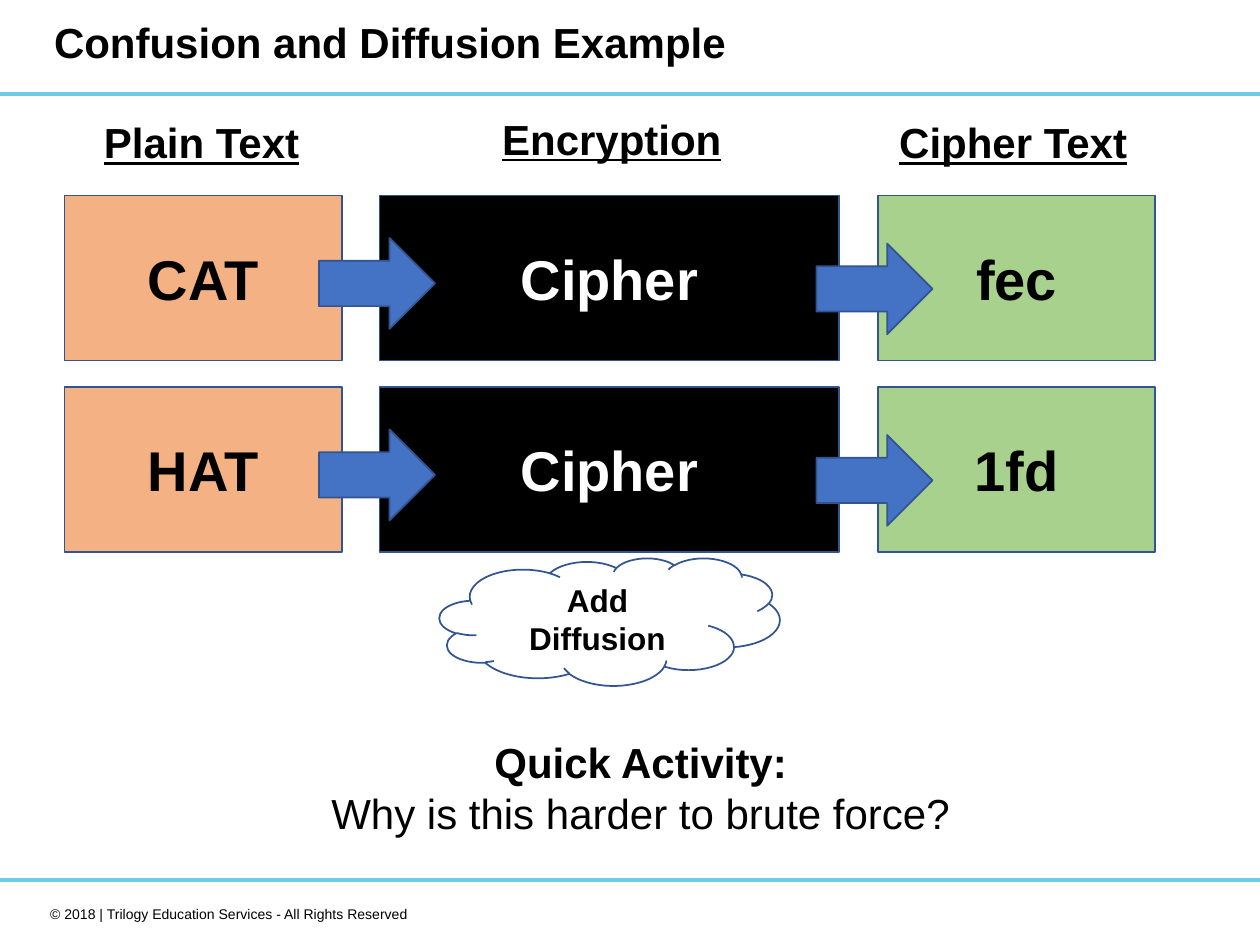
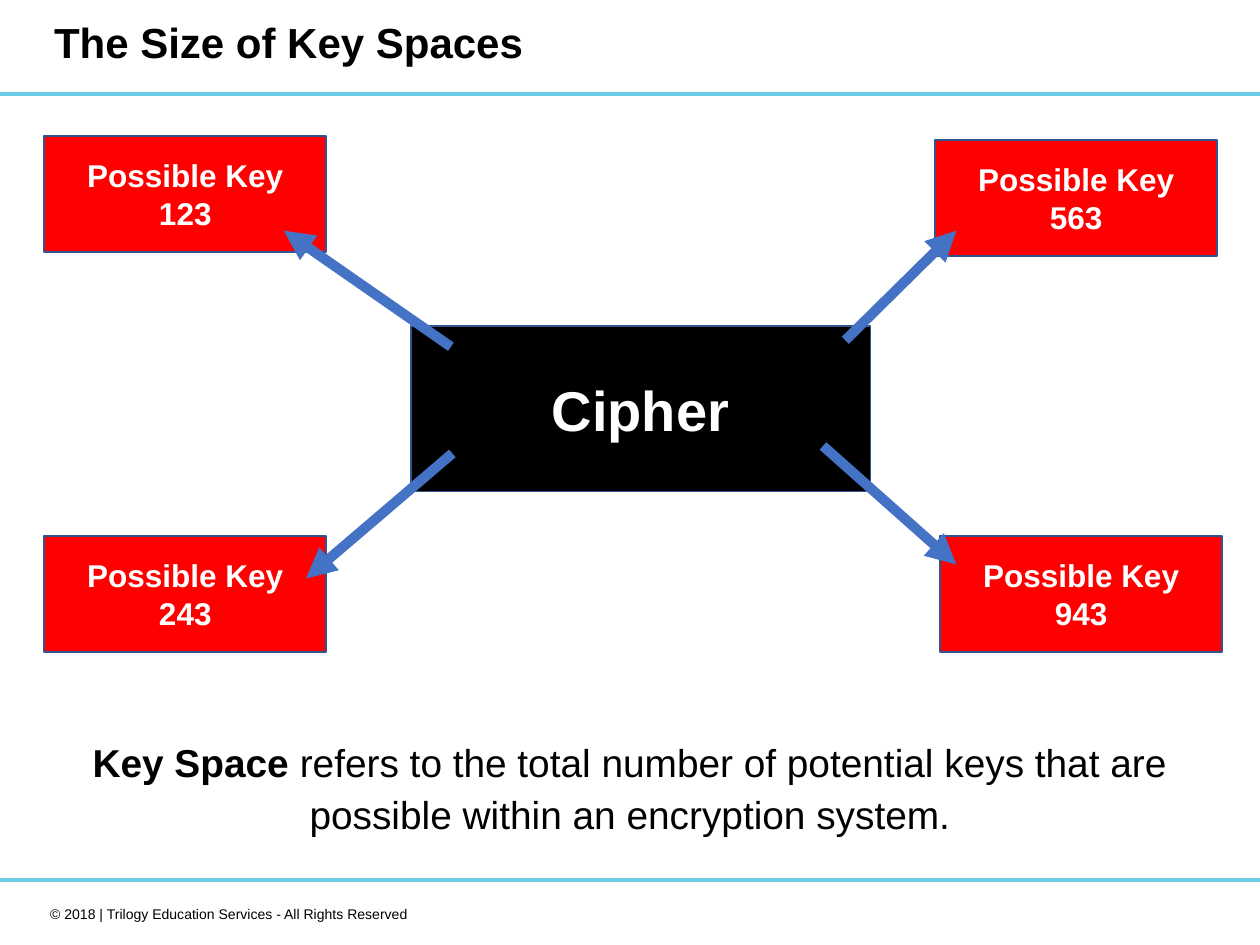
from dataclasses import dataclass, replace

from lxml.etree import SubElement
from pptx import Presentation
from pptx.dml.color import RGBColor
from pptx.enum.shapes import MSO_CONNECTOR as Connector, MSO_SHAPE as Preset
from pptx.enum.text import MSO_ANCHOR as Anchor, PP_ALIGN as Align
from pptx.oxml.ns import qn
from pptx.util import Cm, Pt

BLACK = RGBColor(0x00, 0x00, 0x00)
WHITE = RGBColor(0xFF, 0xFF, 0xFF)
BAND_CYAN = RGBColor(0x6C, 0xCC, 0xE6)
OUTLINE_BLUE = RGBColor(0x32, 0x54, 0x91)
ARROW_BLUE = RGBColor(0x44, 0x72, 0xC4)
PLAIN_ORANGE = RGBColor(0xF4, 0xB1, 0x83)
CIPHER_GREEN = RGBColor(0xA9, 0xD1, 0x8E)
KEY_RED = RGBColor(0xFF, 0x00, 0x00)

FONT = "Arial"
PAGE_WIDTH, PAGE_HEIGHT = 25.4, 19.05
FOOTER = "© 2018 | Trilogy Education Services - All Rights Reserved"


@dataclass(frozen=True)
class Area:
    """A rectangle on the slide, in centimetres."""
    left: float
    top: float
    width: float
    height: float

    def lengths(self) -> tuple:
        return Cm(self.left), Cm(self.top), Cm(self.width), Cm(self.height)


@dataclass(frozen=True)
class TextStyle:
    size: float
    color: RGBColor = BLACK
    bold: bool = True
    underline: bool = False
    align: Align = Align.CENTER
    anchor: Anchor = Anchor.MIDDLE
    spacing: float = 1.0


@dataclass(frozen=True)
class Column:
    left: float
    width: float
    fill: RGBColor
    style: TextStyle
    texts: tuple


@dataclass(frozen=True)
class Arrow:
    start: tuple
    end: tuple


TITLE = TextStyle(24, align=Align.LEFT, spacing=0.9)
FOOTNOTE = TextStyle(8, bold=False, align=Align.RIGHT, anchor=Anchor.TOP)
HEADING = TextStyle(24, underline=True)
BOX_DARK = TextStyle(32)
BOX_LIGHT = replace(BOX_DARK, color=WHITE)
KEY = TextStyle(18, WHITE)
CLOUD = TextStyle(18)
ACTIVITY = TextStyle(24, anchor=Anchor.TOP)
DEFINITION = TextStyle(22.2, bold=False, anchor=Anchor.TOP, spacing=1.1)

CIPHER_WIDTH, BOX_HEIGHT = 9.27, 3.33


def write(shape, lines: tuple, style: TextStyle) -> None:
    """Fill a shape with one paragraph per line."""
    frame = shape.text_frame
    frame.word_wrap = True
    frame.vertical_anchor = style.anchor
    frame.text = "\n".join(lines)
    for para in frame.paragraphs:
        para.alignment = style.align
        para.line_spacing = style.spacing
        font = para.font
        font.name, font.size = FONT, Pt(style.size)
        font.bold, font.underline = style.bold, style.underline
        font.color.rgb = style.color


def add_text(page, area: Area, lines: tuple, style: TextStyle):
    box = page.shapes.add_textbox(*area.lengths())
    write(box, lines, style)
    return box


def add_box(page, preset: Preset, area: Area, fill: RGBColor,
            lines: tuple = (), style: TextStyle = BOX_DARK,
            outlined: bool = True) -> None:
    box = page.shapes.add_shape(preset, *area.lengths())
    box.shadow.inherit = False
    box.fill.solid()
    box.fill.fore_color.rgb = fill
    if outlined:
        box.line.color.rgb = OUTLINE_BLUE
        box.line.width = Pt(1)
    else:
        box.line.fill.background()
    if lines:
        write(box, lines, style)


def add_arrow(page, arrow: Arrow) -> None:
    ends = [Cm(value) for value in arrow.start + arrow.end]
    line = page.shapes.add_connector(Connector.STRAIGHT, *ends)
    line.line.color.rgb = ARROW_BLUE
    line.line.width = Pt(5.75)
    SubElement(line.line._get_or_add_ln(), qn("a:tailEnd"), type="triangle")
    SubElement(line._element.spPr, qn("a:effectLst"))


def add_page(deck, title: str):
    """Start a slide with the shared bands, footer and title."""
    page = deck.slides.add_slide(deck.slide_layouts[6])
    for top in (17.7, 1.85):
        add_box(page, Preset.FLOWCHART_PROCESS, Area(0, top, PAGE_WIDTH, 0.08),
                BAND_CYAN, outlined=False)
    add_text(page, Area(0.43, 18.14, 8.05, 0.61), (FOOTER,), FOOTNOTE)
    add_text(page, Area(0.84, 0, 24.13, 1.83), (title,), TITLE)
    return page


def build_diffusion(deck) -> None:
    page = add_page(deck, "Confusion and Diffusion Example")

    # Column headings
    headings = {
        "Plain Text": Area(1.27, 1.47, 5.59, 2.79),
        "Encryption": Area(7.7, 2.01, CIPHER_WIDTH, 1.57),
        "Cipher Text": Area(17.63, 1.47, 5.59, 2.79),
    }
    for heading, area in headings.items():
        add_text(page, area, (heading,), HEADING)

    # Two rows: plain text, cipher, cipher text, with arrows between
    columns = (
        Column(1.3, 5.59, PLAIN_ORANGE, BOX_DARK, ("CAT", "HAT")),
        Column(7.65, CIPHER_WIDTH, BLACK, BOX_LIGHT, ("Cipher", "Cipher")),
        Column(17.7, 5.59, CIPHER_GREEN, BOX_DARK, ("fec", "1fd")),
    )
    for row, top in enumerate((3.94, 7.8)):
        for column in columns:
            add_box(page, Preset.RECTANGLE,
                    Area(column.left, top, column.width, BOX_HEIGHT),
                    column.fill, (column.texts[row],), column.style)
        for left, drop in ((6.43, 0.86), (16.46, 0.97)):
            add_box(page, Preset.RIGHT_ARROW,
                    Area(left, top + drop, 2.34, 1.83), ARROW_BLUE)

    # Cloud and question
    add_box(page, Preset.CLOUD, Area(8.86, 11.25, 6.86, 2.57), WHITE,
            ("Add Diffusion",), CLOUD)
    activity = add_text(page, Area(1.7, 14.73, 22.43, 2.31),
                        ("Quick Activity:", "Why is this harder to brute force?"),
                        ACTIVITY)
    activity.text_frame.paragraphs[1].font.bold = False


def build_key_spaces(deck) -> None:
    page = add_page(deck, "The Size of Key Spaces")

    # Definition with its term in bold
    definition = add_text(page, Area(0.74, 14.68, 23.93, 2.34),
                          ("Key Space ",), DEFINITION)
    para = definition.text_frame.paragraphs[0]
    para.runs[0].font.bold = True
    span = para.add_run()
    span.text = ("refers to the total number of potential keys that are "
                 "possible within an encryption system.")

    # Cipher surrounded by possible keys
    add_box(page, Preset.RECTANGLE, Area(8.28, 6.58, CIPHER_WIDTH, BOX_HEIGHT),
            BLACK, ("Cipher",), BOX_LIGHT)
    keys = {"123": (0.89, 2.74), "243": (0.89, 10.8),
            "563": (18.85, 2.82), "943": (18.95, 10.8)}
    for key, (left, top) in keys.items():
        add_box(page, Preset.RECTANGLE, Area(left, top, 5.69, 2.34), KEY_RED,
                ("Possible Key", key), KEY)

    # Arrows from the cipher to each key
    for arrow in (Arrow((9.09, 6.99), (5.72, 4.65)),
                  Arrow((9.12, 9.14), (6.17, 11.66)),
                  Arrow((16.59, 8.99), (19.28, 11.38)),
                  Arrow((17.04, 6.86), (19.28, 4.65))):
        add_arrow(page, arrow)


def main() -> None:
    deck = Presentation()
    deck.slide_width, deck.slide_height = Cm(PAGE_WIDTH), Cm(PAGE_HEIGHT)
    build_diffusion(deck)
    build_key_spaces(deck)
    deck.save("out.pptx")


if __name__ == "__main__":
    main()
